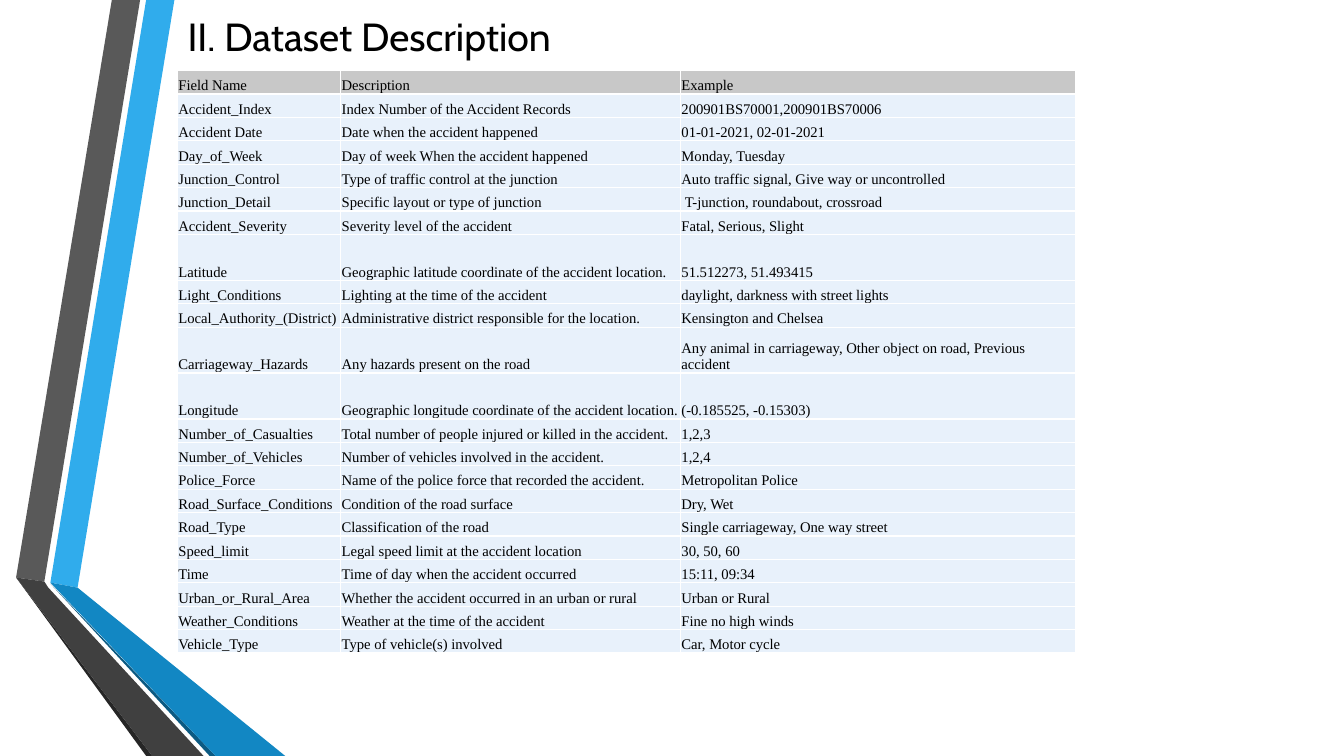
from lxml import etree
from pptx import Presentation
from pptx import util as u
from pptx.dml.color import RGBColor
from pptx.enum import text
from pptx.oxml.ns import qn

WIDTH, HEIGHT = 13.33, 7.5
TALL_ROW = 1.96  # height of a tall row, in plain rows
TALL_FIELDS = {"Latitude", "Carriageway_Hazards", "Longitude"}

FIELDS = [
    ("Field Name", "Description", "Example"),
    ("Accident_Index", "Index Number of the Accident Records", "200901BS70001,200901BS70006"),
    ("Accident Date", "Date when the accident happened", "01-01-2021, 02-01-2021"),
    ("Day_of_Week", "Day of week When the accident happened", "Monday, Tuesday"),
    ("Junction_Control", "Type of traffic control at the junction",
     "Auto traffic signal, Give way or uncontrolled"),
    ("Junction_Detail", "Specific layout or type of junction", " T-junction, roundabout, crossroad"),
    ("Accident_Severity", "Severity level of the accident", "Fatal, Serious, Slight"),
    ("Latitude", "Geographic latitude coordinate of the accident location.", "51.512273, 51.493415"),
    ("Light_Conditions", "Lighting at the time of the accident",
     "daylight, darkness with street lights"),
    ("Local_Authority_(District)", "Administrative district responsible for the location.",
     "Kensington and Chelsea"),
    ("Carriageway_Hazards", "Any hazards present on the road",
     "Any animal in carriageway, Other object on road, Previous accident"),
    ("Longitude", "Geographic longitude coordinate of the accident location.",
     "(-0.185525, -0.15303)"),
    ("Number_of_Casualties", "Total number of people injured or killed in the accident.", "1,2,3"),
    ("Number_of_Vehicles", "Number of vehicles involved in the accident.", "1,2,4"),
    ("Police_Force", "Name of the police force that recorded the accident.", "Metropolitan Police"),
    ("Road_Surface_Conditions", "Condition of the road surface", "Dry, Wet"),
    ("Road_Type", "Classification of the road", "Single carriageway, One way street"),
    ("Speed_limit", "Legal speed limit at the accident location", "30, 50, 60"),
    ("Time", "Time of day when the accident occurred", "15:11, 09:34"),
    ("Urban_or_Rural_Area", "Whether the accident occurred in an urban or rural", "Urban or Rural"),
    ("Weather_Conditions", "Weather at the time of the accident", "Fine no high winds"),
    ("Vehicle_Type", "Type of vehicle(s) involved", "Car, Motor cycle"),
]

# Ribbon outlines in inches from the corner of their box
RIBBONS = [
    ("30ACEC", [(0.5, 5.78), (0.77, 5.83), (1.73, 0), (1.45, 0)]),
    ("595959", [(1.39, 0), (1.11, 0), (0.16, 5.73), (0.44, 5.77)]),
    ("262626", [(0.16, 5.73), (1.45, 7.5), (1.51, 7.5)]),
    ("0C5A82", [(0.5, 5.79), (2.08, 7.5), (2.14, 7.5)]),
    ("1287C3", [(0.5, 5.78), (2.14, 7.5), (2.83, 7.5), (0.77, 5.83)]),
    ("404040", [(2.02, 7.5), (0.48, 5.83), (0.44, 5.77), (0.16, 5.73), (1.51, 7.5)]),
]


def paint(fill, colour):
    fill.solid()
    fill.fore_color.rgb = RGBColor.from_string(colour)


def write(frame, words, size, font, colour="000000", align=text.PP_ALIGN.LEFT):
    paragraph = frame.paragraphs[0]
    paragraph.alignment = align
    run = paragraph.add_run()
    run.text = words
    run.font.size = u.Pt(size)
    run.font.name = font
    paint(run.font.fill, colour)


def border(cell, colour, points):
    """Draw a line on all four sides; call before filling the cell."""
    properties = cell._tc.get_or_add_tcPr()
    for side in ("a:lnL", "a:lnR", "a:lnT", "a:lnB"):
        line = etree.SubElement(properties, qn(side), w=str(u.Pt(points)))
        solid = etree.SubElement(line, qn("a:solidFill"))
        etree.SubElement(solid, qn("a:srgbClr"), val=colour)


def draw_ribbons(slide, left, top):
    for colour, outline in RIBBONS:
        points = [(u.Inches(left + x), u.Inches(top + y)) for x, y in outline]
        builder = slide.shapes.build_freeform(*points[0])
        builder.add_line_segments(points[1:], close=True)
        ribbon = builder.convert_to_shape()
        ribbon.shadow.inherit = False
        paint(ribbon.fill, colour)
        ribbon.line.fill.background()


def place_title(slide, left, top, width, height):
    title = slide.shapes.title
    title.left, title.top = u.Inches(left), u.Inches(top)
    title.width, title.height = u.Inches(width), u.Inches(height)
    frame = title.text_frame
    frame.auto_size = text.MSO_AUTO_SIZE.NONE
    frame.vertical_anchor = text.MSO_ANCHOR.BOTTOM
    write(frame, "II. Dataset Description", size=28, font="Cabin")


def fill_cell(cell, words, colour):
    cell.margin_left = cell.margin_right = cell.margin_top = u.Inches(0.01)
    cell.margin_bottom = 0
    cell.vertical_anchor = text.MSO_ANCHOR.BOTTOM
    border(cell, "FFFFFF", 1)
    paint(cell.fill, colour)
    write(cell.text_frame, words, size=10.5, font="Times New Roman")


def add_field_table(slide, left, top, width, height):
    box = [u.Inches(length) for length in (left, top, width, height)]
    table = slide.shapes.add_table(len(FIELDS), len(FIELDS[0]), *box).table
    table.horz_banding = False
    column_shares = (1.62, 3.37, 3.92)
    for column, share in zip(table.columns, column_shares):
        column.width = u.Inches(width * share / sum(column_shares))
    row_shares = [TALL_ROW if field[0] in TALL_FIELDS else 1 for field in FIELDS]
    for index, (row, share, field) in enumerate(zip(table.rows, row_shares, FIELDS)):
        row.height = u.Inches(height * share / sum(row_shares))
        for cell, words in zip(row.cells, field):
            fill_cell(cell, words, "E8F1FB" if index else "C8C8C8")


def main():
    deck = Presentation()
    deck.slide_width, deck.slide_height = u.Inches(WIDTH), u.Inches(HEIGHT)
    slide = deck.slides.add_slide(deck.slide_layouts.get_by_name("Title Only"))
    paint(slide.background.fill, "FFFFFF")
    content_left = 1.76
    draw_ribbons(slide, 0, 0)
    place_title(slide, content_left, 0, 5.93, 0.64)
    add_field_table(slide, content_left, 0.7, 8.91, 5.78)
    deck.save("out.pptx")


if __name__ == "__main__":
    main()
